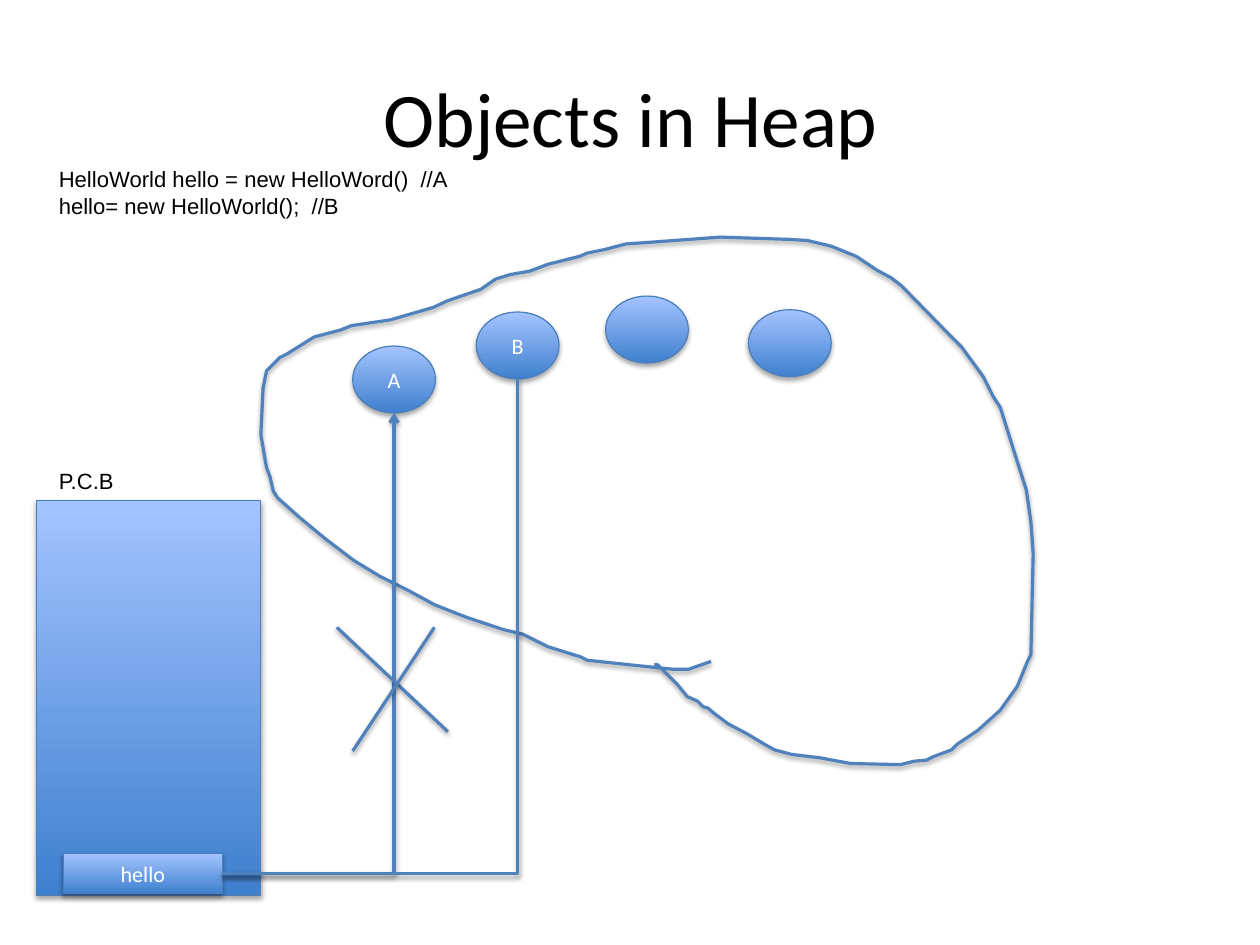
import pptx
import pptx.util
import pptx.dml.color
import pptx.enum.shapes
import pptx.enum.text
import pptx.oxml.ns
from dataclasses import dataclass
from lxml import etree

PX = 9144  # EMU in one px, 100 px to the inch
KIND = pptx.enum.shapes.MSO_SHAPE
WIRE = pptx.enum.shapes.MSO_CONNECTOR
ALIGN = pptx.enum.text.PP_ALIGN
ANCHOR = pptx.enum.text.MSO_ANCHOR
qn = pptx.oxml.ns.qn


@dataclass(frozen=True)
class Theme:
    ink: str = "000000"
    pale: str = "FFFFFF"
    dark: str = "3F80CE"
    light: str = "A4C4FF"
    edge: str = "4B7EBC"
    wire: str = "4F81BD"
    head: str = "Calibri"
    body: str = "Arial"
    big: int = 49
    small: int = 14
    thin: float = 0.75
    thick: float = 2


THEME = Theme()

# Heap outline, from the heap's top left corner
KNOTS = [
    (397, 374), (377, 381), (364, 381), (325, 377), (288, 373), (282, 370),
    (253, 361), (231, 350), (214, 346), (181, 335), (153, 324), (131, 312),
    (105, 299), (82, 285), (57, 266), (34, 247), (15, 230), (11, 224),
    (8, 211), (5, 203), (0, 174), (2, 133), (5, 118), (17, 106),
    (23, 103), (47, 88), (70, 82), (80, 78), (114, 73), (152, 62),
    (165, 56), (194, 46), (207, 37), (220, 33), (237, 30), (253, 24),
    (281, 17), (288, 14), (303, 11), (322, 6), (337, 5), (405, 0),
    (465, 2), (482, 3), (503, 8), (525, 17), (543, 29), (556, 36),
    (565, 43), (609, 88), (618, 97), (637, 123), (646, 141), (652, 150),
    (662, 182), (675, 223), (679, 251), (681, 279), (679, 368), (676, 374),
    (667, 396), (652, 417), (632, 435), (614, 447), (609, 452), (593, 458),
    (587, 461), (576, 462), (564, 465), (520, 464), (493, 459), (468, 456),
    (453, 452), (444, 447), (429, 438), (412, 429), (400, 420), (394, 415),
    (390, 414), (385, 409), (376, 405), (367, 394), (359, 386), (350, 377),
    (347, 377),
]


def px(*nums):
    return [pptx.util.Emu(n * PX) for n in nums]


def rgb(code):
    return pptx.dml.color.RGBColor.from_string(code)


def shade(shape, alpha, dist):
    """Give a shape a soft shadow straight below it."""
    props = shape._element.spPr
    for old in props.findall(qn("a:effectLst")):
        props.remove(old)
    effect = etree.SubElement(props, qn("a:effectLst"))
    drop = etree.SubElement(effect, qn("a:outerShdw"), blurRad="40000",
                            dist=str(dist), dir="5400000", rotWithShape="0")
    tint = etree.SubElement(drop, qn("a:srgbClr"), val=THEME.ink)
    etree.SubElement(tint, qn("a:alpha"), val=str(alpha * 1000))


def stroke(shape):
    shape.line.color.rgb = rgb(THEME.wire)
    shape.line.width = pptx.util.Pt(THEME.thick)
    shade(shape, 38, 20000)


def write(shape, text, face, size, color, align, anchor):
    frame = shape.text_frame
    frame.word_wrap = True
    frame.vertical_anchor = anchor
    frame.text = text
    for para in frame.paragraphs:
        para.alignment = align
        para.font.name = face
        para.font.size = pptx.util.Pt(size)
        para.font.color.rgb = rgb(color)


def label(slide, box, text):
    shape = slide.shapes.add_textbox(*px(*box))
    write(shape, text, THEME.body, THEME.small, THEME.ink,
          ALIGN.LEFT, ANCHOR.TOP)


def block(slide, kind, box, text=""):
    shape = slide.shapes.add_shape(kind, *px(*box))
    shape.fill.gradient()
    shape.fill.gradient_angle = 90
    tints = (THEME.dark, THEME.light)
    for place, stop in enumerate(shape.fill.gradient_stops):
        stop.color.rgb = rgb(tints[place])
        stop.position = place
    shape.line.color.rgb = rgb(THEME.edge)
    shape.line.width = pptx.util.Pt(THEME.thin)
    shade(shape, 35, 23000)
    if text:
        write(shape, text, THEME.head, THEME.small, THEME.pale,
              ALIGN.CENTER, ANCHOR.MIDDLE)
    return shape


def title(slide, box):
    shape = slide.shapes.add_textbox(*px(*box))
    write(shape, "Objects in Heap", THEME.head, THEME.big, THEME.ink,
          ALIGN.CENTER, ANCHOR.MIDDLE)


def heap(slide, box):
    """Draw the heap and its objects; return objects A and B."""
    left, top = box[:2]
    dots = [px(left + x, top + y) for x, y in KNOTS]
    pen = slide.shapes.build_freeform(*dots[0])
    pen.add_line_segments(dots[1:], close=False)
    shape = pen.convert_to_shape()
    shape.fill.background()
    stroke(shape)
    spots = [(81, 96, "A"), (190, 66, "B"), (304, 52, ""), (430, 64, "")]
    balls = [block(slide, KIND.OVAL, (left + x, top + y, 73, 59), name)
             for x, y, name in spots]
    return balls[:2]


def stack(slide, box):
    """Draw the control block; return its variable."""
    left, top, wide, high = box
    block(slide, KIND.RECTANGLE, box)
    label(slide, (left + 10, top - 34, wide - 10, 34), "P.C.B")
    return block(slide, KIND.RECTANGLE,
                 (left + 24, top + high - 37, 140, 36), "hello")


def link(slide, name, ball, arrow):
    """Run a one-bend connector from the variable up to an object."""
    line = slide.shapes.add_connector(
        WIRE.ELBOW, name.left + name.width, name.top + name.height // 2,
        ball.left + ball.width // 2, ball.top + ball.height)
    line.begin_connect(name, 3)
    ends = line._element.nvCxnSpPr.cNvCxnSpPr
    etree.SubElement(ends, qn("a:endCxn"), id=str(ball.shape_id), idx="4")
    line._element.spPr.find(qn("a:prstGeom")).set("prst", "bentConnector2")
    stroke(line)
    if arrow:
        pen = line._element.spPr.find(qn("a:ln"))
        etree.SubElement(pen, qn("a:tailEnd"), type="arrow")


def cross(slide, box):
    """Strike out the link to object A."""
    left, top, wide, high = box
    for ax, bx, drop in ((0, wide, high - 17), (wide - 12, 14, high)):
        line = slide.shapes.add_connector(
            WIRE.STRAIGHT, *px(left + ax, top, left + bx, top + drop))
        stroke(line)


def main():
    deck = pptx.Presentation()
    deck.slide_width, deck.slide_height = px(1111, 833)
    slide = deck.slides.add_slide(deck.slide_layouts[6])
    title(slide, (56, 33, 1000, 139))
    balls = heap(slide, (230, 209, 680, 465))
    name = stack(slide, (32, 441, 198, 348))
    for ball, arrow in zip(balls, (True, False)):
        link(slide, name, ball, arrow)
    cross(slide, (297, 553, 98, 109))
    label(slide, (42, 141, 430, 81),
          "HelloWorld hello = new HelloWord()  //A\n"
          "hello= new HelloWorld();  //B")
    deck.save("out.pptx")


if __name__ == "__main__":
    main()
